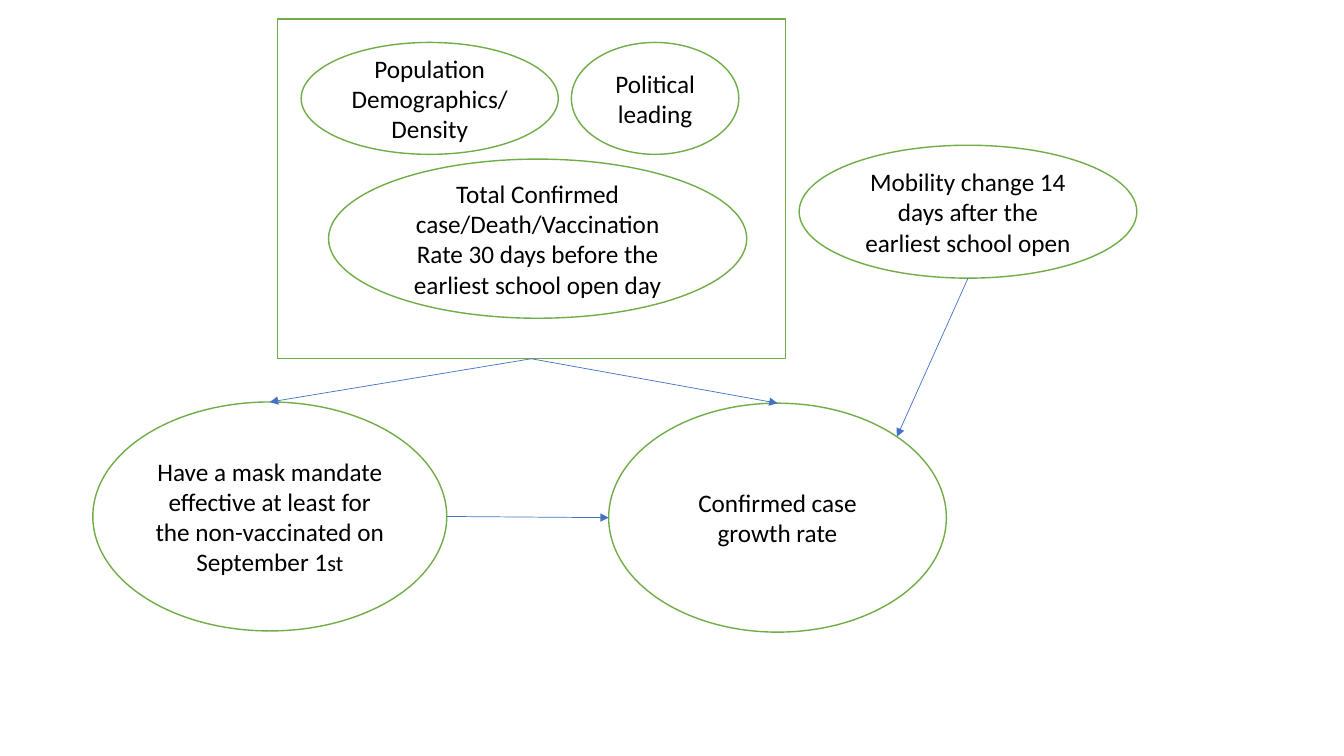
from math import sqrt

from lxml.etree import SubElement
from pptx import Presentation
from pptx.dml.color import RGBColor
from pptx.enum.shapes import MSO_CONNECTOR as Link, MSO_SHAPE as Preset
from pptx.enum.text import MSO_ANCHOR as Anchor, PP_ALIGN as Align
from pptx.oxml.ns import qn
from pptx.util import Cm, Pt

COLORS = {"fill": "FFFFFF", "outline": "70AD47", "arrow": "4472C4", "text": "000000"}
FONT = "Calibri"

FACTORS = {
    "mask": ((2.34, 10.13, 8.92, 5.77), [
        ("Have a mask mandate effective at least for the non-vaccinated on September 1", 18),
        ("st", 16)]),
    "growth": ((15.34, 10.16, 8.51, 5.77), [("Confirmed case growth rate", 18)]),
    "mobility": ((20.14, 3.66, 8.51, 3.35), [
        ("Mobility change 14 days after the earliest school open", 18)]),
    "politics": ((14.4, 1.07, 4.22, 2.82), [("Political leading", 18)]),
    "population": ((7.59, 1.07, 6.48, 2.82), [("Population Demographics/Density", 18)]),
    "rates": ((8.28, 4.01, 10.54, 4.01), [
        ("Total Confirmed case/Death/Vaccination Rate 30 days before the "
         "earliest school open day", 18)]),
    "confounders": ((6.99, 0.48, 12.8, 8.56), []),
}

DIAGONAL = sqrt(0.5)
SIDES = {"top": (0, -1), "bottom": (0, 1), "left": (-1, 0), "right": (1, 0),
         "top right": (DIAGONAL, -DIAGONAL)}

EFFECTS = [
    ("mobility", "bottom", "growth", "top right"),
    ("mask", "right", "growth", "left"),
    ("confounders", "bottom", "mask", "top"),
    ("confounders", "bottom", "growth", "top"),
]


def rgb(role):
    return RGBColor.from_string(COLORS[role])


def add_factor(slide, box, runs):
    preset = Preset.OVAL if runs else Preset.RECTANGLE
    factor = slide.shapes.add_shape(preset, *map(Cm, box))
    factor.shadow.inherit = False
    factor.line.color.rgb = rgb("outline")
    factor.line.width = Pt(1)
    if not runs:
        factor.fill.background()
        return factor
    factor.fill.solid()
    factor.fill.fore_color.rgb = rgb("fill")
    frame = factor.text_frame
    frame.word_wrap = True
    frame.vertical_anchor = Anchor.MIDDLE
    paragraph = frame.paragraphs[0]
    paragraph.alignment = Align.CENTER
    for words, size in runs:
        run = paragraph.add_run()
        run.text = words
        run.font.name = FONT
        run.font.size = Pt(size)
        run.font.color.rgb = rgb("text")
    return factor


def edge_point(factor, side):
    across, down = SIDES[side]
    return (int(factor.left + factor.width * (1 + across) / 2),
            int(factor.top + factor.height * (1 + down) / 2))


def add_effect(slide, cause, cause_side, result, result_side):
    arrow = slide.shapes.add_connector(
        Link.STRAIGHT, *edge_point(cause, cause_side), *edge_point(result, result_side))
    if cause.auto_shape_type == Preset.RECTANGLE:
        arrow.begin_connect(cause, 2)
    if result_side == "top":
        arrow.end_connect(result, 0)
    arrow.line.color.rgb = rgb("arrow")
    arrow.line.width = Pt(0.5)
    SubElement(arrow.line._get_or_add_ln(), qn("a:tailEnd"), type="triangle")
    SubElement(arrow._element.spPr, qn("a:effectLst"))


def main():
    deck = Presentation()
    deck.slide_width, deck.slide_height = Cm(33.87), Cm(19.05)
    slide = deck.slides.add_slide(deck.slide_layouts[6])
    factors = {key: add_factor(slide, box, runs) for key, (box, runs) in FACTORS.items()}
    for cause, cause_side, result, result_side in EFFECTS:
        add_effect(slide, factors[cause], cause_side, factors[result], result_side)
    deck.save("out.pptx")


if __name__ == "__main__":
    main()
